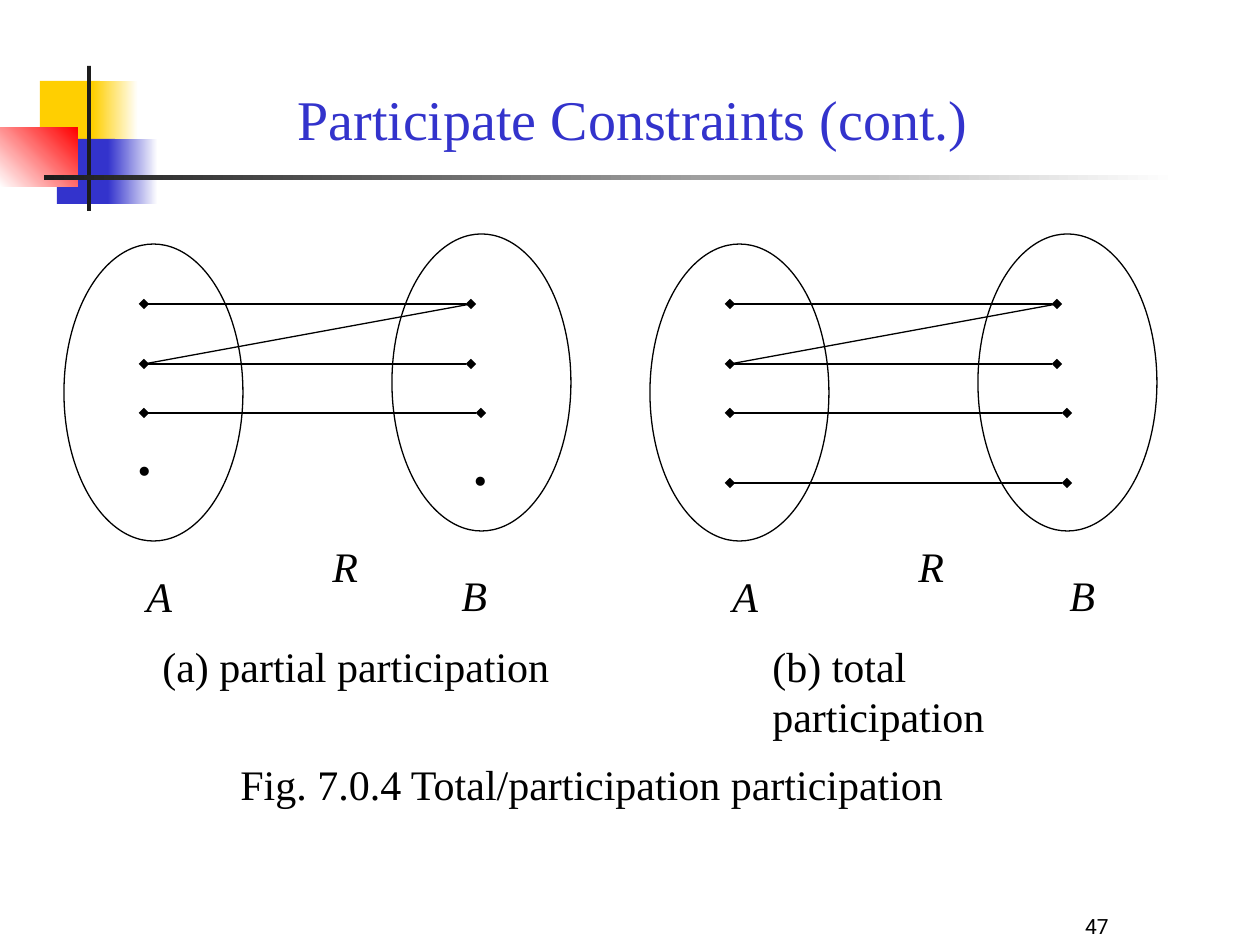
from dataclasses import dataclass
from typing import Optional

from lxml.etree import SubElement
from pptx import Presentation
from pptx.dml.color import RGBColor
from pptx.enum.shapes import MSO_CONNECTOR, MSO_SHAPE
from pptx.enum.text import MSO_ANCHOR, MSO_AUTO_SIZE, PP_ALIGN
from pptx.oxml.ns import qn
from pptx.util import Emu, Pt

SCALE = 914400 / 126
SERIF = "Times New Roman"
BLACK, CHARCOAL, WHITE = "000000", "1C1C1C", "FFFFFF"
YELLOW, BLUE, RED = "FFCF01", "3333CC", "FF0000"


@dataclass(frozen=True)
class Block:
    x: int
    y: int
    w: int
    h: int
    color: str
    fade_to: Optional[str] = None
    angle: int = 0


@dataclass(frozen=True)
class Label:
    words: str
    x: int
    y: int
    w: int
    h: int = 63
    size: int = 24
    italic: bool = False
    bold: bool = False


@dataclass(frozen=True)
class Relation:
    y_from: int
    x_to: int
    y_to: int
    diamonds: bool = True


@dataclass(frozen=True)
class Panel:
    x: int
    b_label_x: int
    relations: tuple
    loose_members: tuple
    caption: Label


def px(length: int) -> Emu:
    return Emu(round(length * SCALE))


def rgb(color: str) -> RGBColor:
    return RGBColor.from_string(color)


def write(frame, words: str, size: int, color: str = BLACK, font: str = SERIF,
          italic: bool = False, bold: bool = False) -> None:
    run = frame.paragraphs[0].add_run()
    run.text = words
    run.font.name = font
    run.font.size = Pt(size)
    run.font.italic = italic
    run.font.bold = bold
    run.font.color.rgb = rgb(color)


def draw_block(slide, block: Block) -> None:
    rect = slide.shapes.add_shape(MSO_SHAPE.RECTANGLE, px(block.x), px(block.y), px(block.w), px(block.h))
    rect.shadow.inherit = False
    rect.line.fill.background()
    if block.fade_to is None:
        rect.fill.solid()
        rect.fill.fore_color.rgb = rgb(block.color)
        return
    rect.fill.gradient()
    rect.fill.gradient_angle = block.angle
    for stop, color, position in zip(rect.fill.gradient_stops, (block.color, block.fade_to), (0, 1)):
        stop.color.rgb = rgb(color)
        stop.position = position


def draw_entity_set(slide, x: int, y: int) -> None:
    oval = slide.shapes.add_shape(MSO_SHAPE.OVAL, px(x), px(y), px(179), px(297))
    oval.shadow.inherit = False
    oval.fill.background()
    oval.line.color.rgb = rgb(BLACK)
    oval.line.width = Pt(0.75)


def draw_label(slide, label: Label, x_offset: int = 0) -> None:
    box = slide.shapes.add_textbox(px(label.x + x_offset), px(label.y), px(label.w), px(label.h))
    box.text_frame.word_wrap = False
    box.text_frame.auto_size = MSO_AUTO_SIZE.SHAPE_TO_FIT_TEXT
    write(box.text_frame, label.words, label.size, italic=label.italic, bold=label.bold)


def draw_relation(slide, relation: Relation, x_offset: int) -> None:
    link = slide.shapes.add_connector(
        MSO_CONNECTOR.STRAIGHT, px(144 + x_offset), px(relation.y_from),
        px(relation.x_to + x_offset), px(relation.y_to))
    link.line.color.rgb = rgb(BLACK)
    link.line.width = Pt(0.75)
    if relation.diamonds:
        outline = link.line._get_or_add_ln()
        for end in ("a:headEnd", "a:tailEnd"):
            SubElement(outline, qn(end), type="diamond")
    SubElement(link._element.spPr, qn("a:effectLst"))


def draw_panel(slide, panel: Panel) -> None:
    draw_entity_set(slide, 64 + panel.x, 244)
    draw_entity_set(slide, 392 + panel.x, 234)
    for name, x, y in (("A", 134, 564), ("B", panel.b_label_x, 563), ("R", 320, 534)):
        draw_label(slide, Label(name, x, y, 50, italic=True), panel.x)
    for relation in panel.relations:
        draw_relation(slide, relation, panel.x)
    for x, y in panel.loose_members:
        draw_label(slide, Label(".", x, y, 39, 81, 32, bold=True), panel.x)
    draw_label(slide, panel.caption)


ORNAMENT = (
    Block(40, 81, 60, 65, YELLOW),
    Block(93, 81, 45, 65, YELLOW, WHITE),
    Block(57, 139, 58, 65, BLUE),
    Block(108, 139, 50, 65, BLUE, WHITE),
    Block(0, 128, 78, 59, WHITE, RED, 45),
    Block(87, 66, 4, 145, CHARCOAL),
    Block(44, 175, 1134, 5, CHARCOAL, WHITE),
)
SHARED_RELATIONS = (
    Relation(304, 471, 304),
    Relation(364, 471, 364),
    Relation(413, 481, 413),
    Relation(364, 471, 304, diamonds=False),
)
PANELS = (
    Panel(0, 449, SHARED_RELATIONS, ((125, 413), (461, 423)),
          Label("(a) partial participation", 150, 634, 422)),
    Panel(586, 471, SHARED_RELATIONS + (Relation(483, 481, 483),), (),
          Label("(b) total  participation", 760, 634, 392)),
)


def main() -> None:
    deck = Presentation()
    deck.slide_width, deck.slide_height = px(1260), px(945)
    slide = deck.slides.add_slide(deck.slide_layouts[5])

    for block in ORNAMENT:
        draw_block(slide, block)
    for panel in PANELS:
        draw_panel(slide, panel)
    draw_label(slide, Label("Fig. 7.0.4 Total/participation participation", 228, 752, 732))

    title = slide.shapes.title
    title.left, title.top, title.width, title.height = px(113), px(0), px(1040), px(158)
    page_number = slide.shapes.add_textbox(px(966), px(882), px(262), px(63))
    for holder in (title, page_number):
        holder.text_frame.word_wrap = True
        holder.text_frame.auto_size = MSO_AUTO_SIZE.NONE
        holder.text_frame.vertical_anchor = MSO_ANCHOR.BOTTOM
        holder.text_frame.paragraphs[0].alignment = PP_ALIGN.CENTER
    write(title.text_frame, "Participate Constraints (cont.)", 32, BLUE)
    write(page_number.text_frame, "47", 12, font="Roboto")

    deck.save("out.pptx")


if __name__ == "__main__":
    main()
